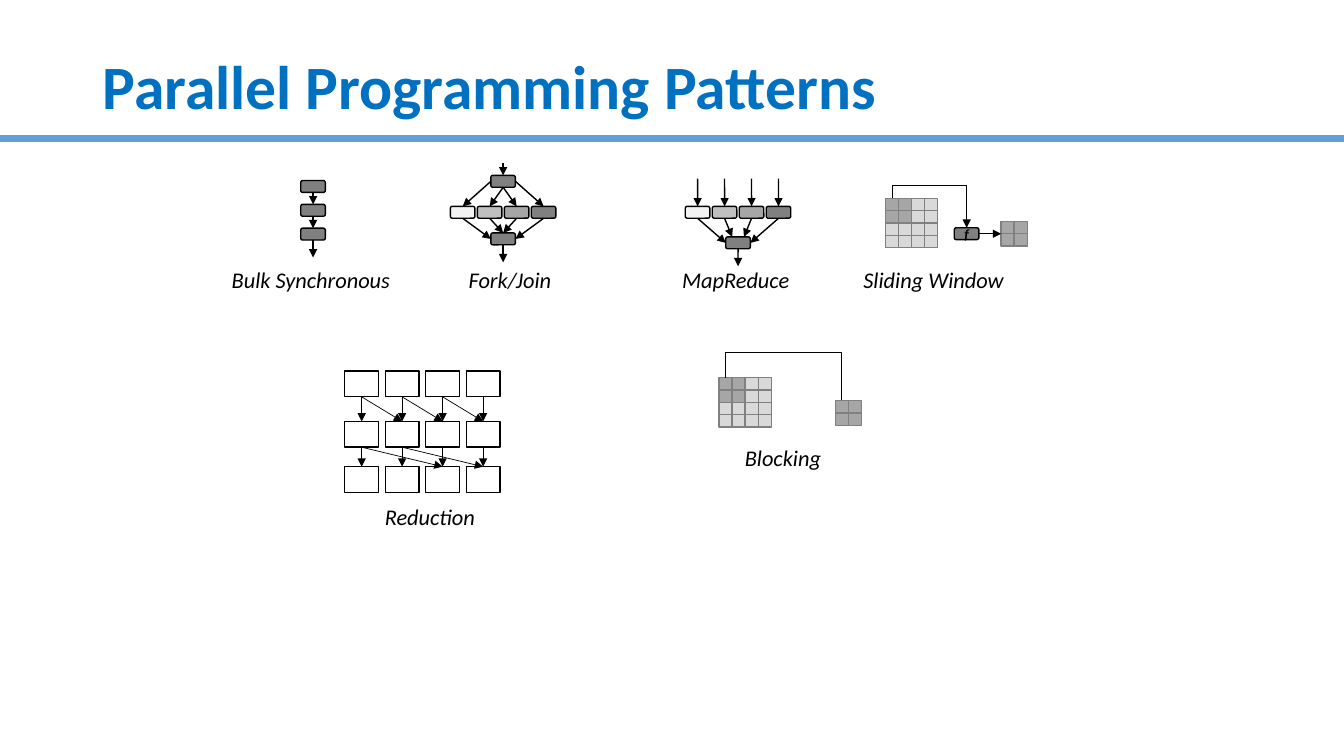
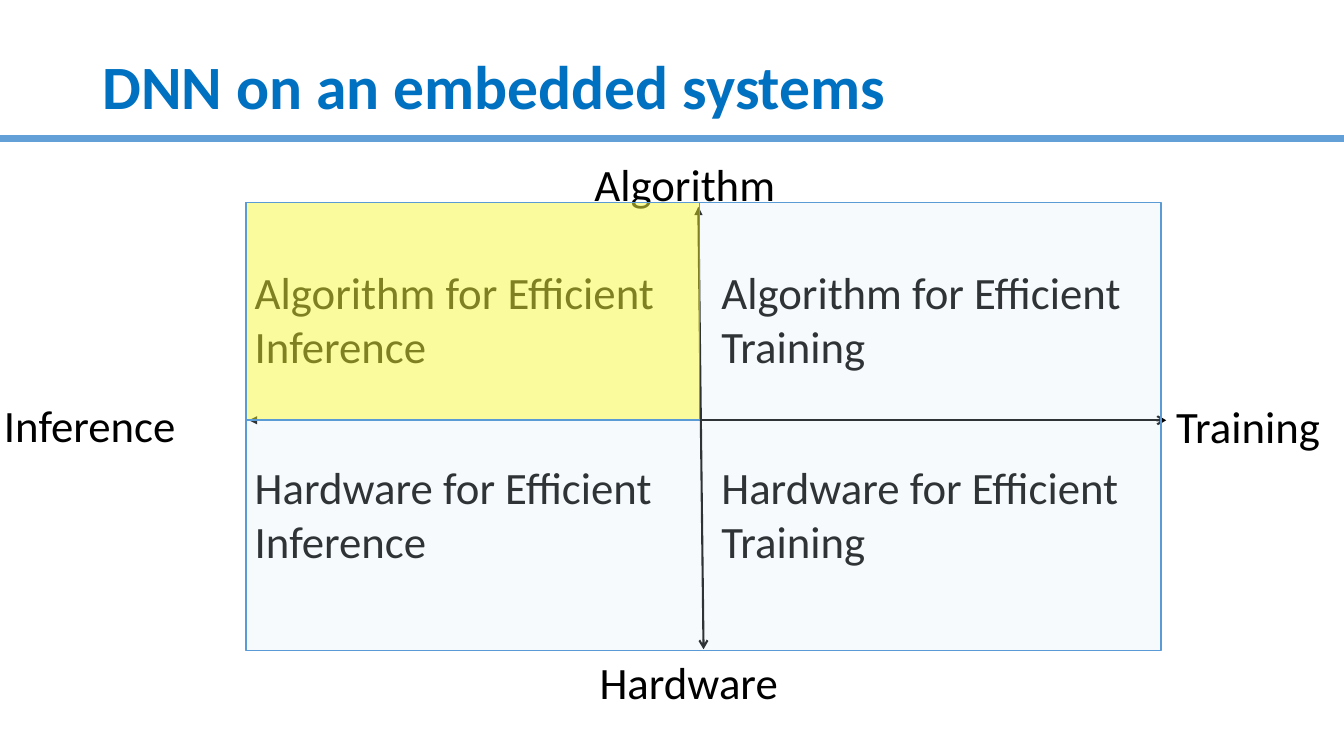
from dataclasses import dataclass

from lxml.etree import SubElement as Sub
from pptx import Presentation
from pptx.dml.color import RGBColor as Rgb
from pptx.enum.shapes import MSO_CONNECTOR as Wire, MSO_SHAPE as Form
from pptx.enum.text import MSO_ANCHOR as Anchor, PP_ALIGN as Align
from pptx.oxml.ns import qn
from pptx.util import Cm, Pt


@dataclass(frozen=True)
class Theme:
    font: str = "Calibri"
    title: str = "0070C0"
    band: str = "63A0D7"
    ink: str = "000000"
    edge: str = "808080"
    dark: str = "A6A6A6"
    pale: str = "D9D9D9"
    tones: tuple = ("F2F2F2", "BFBFBF", "A6A6A6", "808080")
    frame: str = "5B9BD5"
    tint: str = "DEEBF7"
    mark: str = "FFFF00"
    head: int = 44
    body: int = 32
    note: int = 16
    small: int = 10


T = Theme()
WIDE, HIGH = 33.87, 19.05
NODE_W, NODE_H, STEP = 0.62, 0.3, 0.68
CELL_W, CELL_H = 0.33, 0.31


def write(par, words, size, color=T.ink, bold=False, slant=False):
    run = par.add_run()
    run.text = words
    font = run.font
    font.name, font.size = T.font, Pt(size)
    font.bold, font.italic = bold, slant
    font.color.rgb = Rgb.from_string(color)


def text(slide, x, y, w, lines, size, slant=False):
    """Place lines of text with no inner margins."""
    box = slide.shapes.add_textbox(Cm(x), Cm(y), Cm(w), Cm(size * 0.043 * len(lines)))
    frame = box.text_frame
    frame.word_wrap = True
    frame.margin_left = frame.margin_right = 0
    frame.margin_top = frame.margin_bottom = 0
    for i, words in enumerate(lines):
        par = frame.add_paragraph() if i else frame.paragraphs[0]
        write(par, words, size, slant=slant)


def block(shapes, x, y, w, h, fill=None, edge=T.ink, form=Form.RECTANGLE, alpha=None):
    """Draw a box; alpha is the opacity in percent."""
    box = shapes.add_shape(form, Cm(x), Cm(y), Cm(w), Cm(h))
    box.shadow.inherit = False
    box.line.color.rgb = Rgb.from_string(edge)
    box.line.width = Pt(1)
    if fill is None:
        box.fill.background()
        return box
    box.fill.solid()
    box.fill.fore_color.rgb = Rgb.from_string(fill)
    if alpha is not None:
        tone = box.element.spPr.find(qn("a:solidFill"))[0]
        Sub(tone, qn("a:alpha")).set("val", str(alpha * 1000))
    return box


def style(wire, pt, color=T.ink, head=None, tail="triangle"):
    """Set a connector's stroke and arrowheads, without a shadow."""
    wire.line.width = Pt(pt)
    wire.line.color.rgb = Rgb.from_string(color)
    spot = wire.element.find(qn("p:spPr"))
    for tag, kind in (("a:headEnd", head), ("a:tailEnd", tail)):
        if kind:
            Sub(spot.find(qn("a:ln")), qn(tag)).set("type", kind)
    Sub(spot, qn("a:effectLst"))
    return wire


def link(slide, start, end, pt=1, **look):
    """Join two ends, each an (x, y) point or a (shape, side) pair."""
    fixed = [isinstance(tip[0], (int, float)) for tip in (start, end)]
    (x1, y1), (x2, y2) = (tip if ok else (0, 0) for tip, ok in zip((start, end), fixed))
    wire = slide.shapes.add_connector(Wire.STRAIGHT, Cm(x1), Cm(y1), Cm(x2), Cm(y2))
    if not fixed[0]:
        wire.begin_connect(*start)
    if not fixed[1]:
        wire.end_connect(*end)
    return style(wire, pt, **look)


def arch(slide, x1, y1, x2, y2, rise):
    """Draw an arrow that goes up by rise, across, and down to its end."""
    drop, span = y2 - y1, x2 - x1
    mid_x, mid_y = (x1 + x2) / 2, (y1 + y2) / 2
    wire = slide.shapes.add_connector(
        Wire.ELBOW, Cm(mid_x + drop / 2), Cm(mid_y - span / 2),
        Cm(mid_x - drop / 2), Cm(mid_y + span / 2))
    spot = wire.element.find(qn("p:spPr"))
    spot.find(qn("a:xfrm")).set("rot", str(270 * 60000))
    guide = Sub(spot.find(qn("a:prstGeom")).find(qn("a:avLst")), qn("a:gd"))
    guide.set("name", "adj1")
    guide.set("fmla", f"val {round(-rise / drop * 100000)}")
    style(wire, 0.5)


def node(slide, x, y, fill=T.edge):
    return block(slide.shapes, x, y, NODE_W, NODE_H, fill, form=Form.ROUNDED_RECTANGLE)


def tasks(slide, x, y):
    return [node(slide, x + i * STEP, y, tone) for i, tone in enumerate(T.tones)]


def leave(slide, box, x, y):
    """Lead an arrow down and out of a node at x, y."""
    link(slide, (box, 2), (x + NODE_W / 2, y + NODE_H + 0.44))


def grid(slide, x, y, size, lit=2):
    """Draw a square grid whose first lit rows and columns are dark."""
    group = slide.shapes.add_group_shape()
    for row in range(size):
        for col in range(size):
            fill = T.dark if max(row, col) < lit else T.pale
            block(group.shapes, x + col * CELL_W, y + row * CELL_H,
                  CELL_W, CELL_H, fill, T.edge)


def bulk(slide, x, y):
    gap = 0.6
    steps = [node(slide, x, y + i * gap) for i in range(3)]
    for above, below in zip(steps, steps[1:]):
        link(slide, (above, 2), (below, 0))
    leave(slide, steps[-1], x, y + 2 * gap)


def fork(slide, x, y):
    hub_x, end_y = x + 1.5 * STEP, y + 1.45
    top = node(slide, hub_x, y)
    row = tasks(slide, x, y + 0.78)
    low = node(slide, hub_x, end_y)
    link(slide, (hub_x + NODE_W / 2, y - 0.31), (top, 0))
    for task, out, into in zip(row, (1, 2, 2, 3), (1, 0, 0, 3)):
        link(slide, (top, out), (task, 0))
        link(slide, (task, 2), (low, into))
    leave(slide, low, hub_x, end_y)


def reduce(slide, x, y):
    row_y, hub_x, hub_y = y + 0.7, x + 1.5 * STEP, y + 1.47
    row = tasks(slide, x, row_y)
    hub = node(slide, hub_x, hub_y)
    mid = hub_x + NODE_W / 2
    ends = ((hub, 1), (mid - 0.15, hub_y), (mid + 0.15, hub_y), (hub, 3))
    for i, (task, end) in enumerate(zip(row, ends)):
        link(slide, (x + i * STEP + NODE_W / 2, y), (task, 0))
        link(slide, (task, 2), end)
    leave(slide, hub, hub_x, hub_y)


def window(slide, x, y):
    grid(slide, x, y, 4)
    fun_x, fun_y, out_x = x + 1.74, y + 0.74, x + 2.92
    mid_y = fun_y + NODE_H / 2
    fun = node(slide, fun_x, fun_y)
    frame = fun.text_frame
    frame.margin_left = frame.margin_right = 0
    frame.margin_top = frame.margin_bottom = 0
    frame.vertical_anchor = Anchor.MIDDLE
    frame.paragraphs[0].alignment = Align.CENTER
    write(frame.paragraphs[0], "f", T.small, bold=True, slant=True)
    arch(slide, x + CELL_W / 2, y, fun_x + NODE_W / 2, fun_y, 0.33)
    grid(slide, out_x, mid_y - CELL_H, 2)
    link(slide, (fun, 3), (out_x, mid_y), 0.5)


def tree(slide, x, y):
    """Draw a reduction whose slanted arrows skip 1, then 2 columns."""
    rows = [[block(slide.shapes, x + col * 1.02, y + dy, 0.85, 0.65)
             for col in range(4)] for dy in (0, 1.27, 2.41)]
    for above, below, skip in zip(rows, rows[1:], (1, 2)):
        for pair in [*zip(above, below), *zip(above, below[skip:])]:
            link(slide, (pair[0], 2), (pair[1], 0), 0.5)


def tiles(slide, x, y):
    grid(slide, x, y, 4)
    arch(slide, x + CELL_W / 2, y, x + 3.09, y + 0.89, 0.63)
    grid(slide, x + 2.93, y + 0.58, 2)


def quads(slide, x, y):
    """Draw the four fields, their axes and the tinted panes above them."""
    w, h, mid_x, mid_y = 23.06, 11.28, 11.43, 5.48
    link(slide, (x + 0.07, y + mid_y), (x + w + 0.13, y + mid_y), 1.5,
         head="triangle", tail="arrow")
    link(slide, (x + mid_x - 0.03, y + 0.1), (x + mid_x + 0.1, y + h - 0.03), 1.5,
         head="triangle", tail="arrow")
    for words, left, top in (("Inference", 0.1, 10.02), ("Training", 29.64, 10.04),
                             ("Hardware", 15.11, 16.49), ("Algorithm", 14.98, 3.94)):
        text(slide, left, top, 5 if left < 29 else 4.2, [words], T.body)
    for kind, dy in (("Algorithm", 1.57), ("Hardware", 6.48)):
        for goal, dx in (("Inference", 0.22), ("Training", 11.98)):
            text(slide, x + dx, y + dy, 11, [f"{kind} for Efficient", goal], T.body)
    block(slide.shapes, x, y, w, h, T.tint, T.frame, alpha=22)
    block(slide.shapes, x, y, mid_x, mid_y, T.mark, T.frame, alpha=38)


def start(deck, words):
    """Add a slide with the shared title style."""
    slide = deck.slides.add_slide(deck.slide_layouts[5])
    title = slide.shapes.title
    title.left, title.top = Cm(2.33), Cm(1.01)
    title.width, title.height = Cm(29.21), Cm(2.49)
    title.text_frame.vertical_anchor = Anchor.MIDDLE
    par = title.text_frame.paragraphs[0]
    par.alignment, par.line_spacing = Align.LEFT, 0.9
    write(par, words, T.head, T.title, bold=True)
    return slide


def band(deck, slide):
    """Draw the rule below the titles and move it to the slide master."""
    rule = link(slide, (WIDE, 3.5), (0, 3.5), 5, color=T.band, tail=None)
    rule.element.nvCxnSpPr.cNvPr.set("id", "99")
    deck.slide_master.element.cSld.spTree.append(rule.element)


def patterns(deck):
    slide = start(deck, "Parallel Programming Patterns")
    band(deck, slide)
    for draw, x, y, words, left, top in (
            (bulk, 7.58, 4.55, "Bulk Synchronous", 5.84, 6.71),
            (fork, 11.35, 4.42, "Fork/Join", 11.81, 6.71),
            (reduce, 17.27, 4.5, "MapReduce", 17.19, 6.71),
            (window, 22.31, 5, "Sliding Window", 21.76, 6.71),
            (tree, 8.69, 9.35, "Reduction", 9.7, 12.68),
            (tiles, 18.12, 9.52, "Blocking", 18.77, 11.18)):
        draw(slide, x, y)
        text(slide, left, top, 4.5, [words], T.note, slant=True)


def main():
    deck = Presentation()
    deck.slide_width, deck.slide_height = Cm(WIDE), Cm(HIGH)
    patterns(deck)
    quads(start(deck, "DNN on an embedded systems"), 6.2, 5.11)
    deck.save("out.pptx")


if __name__ == "__main__":
    main()
